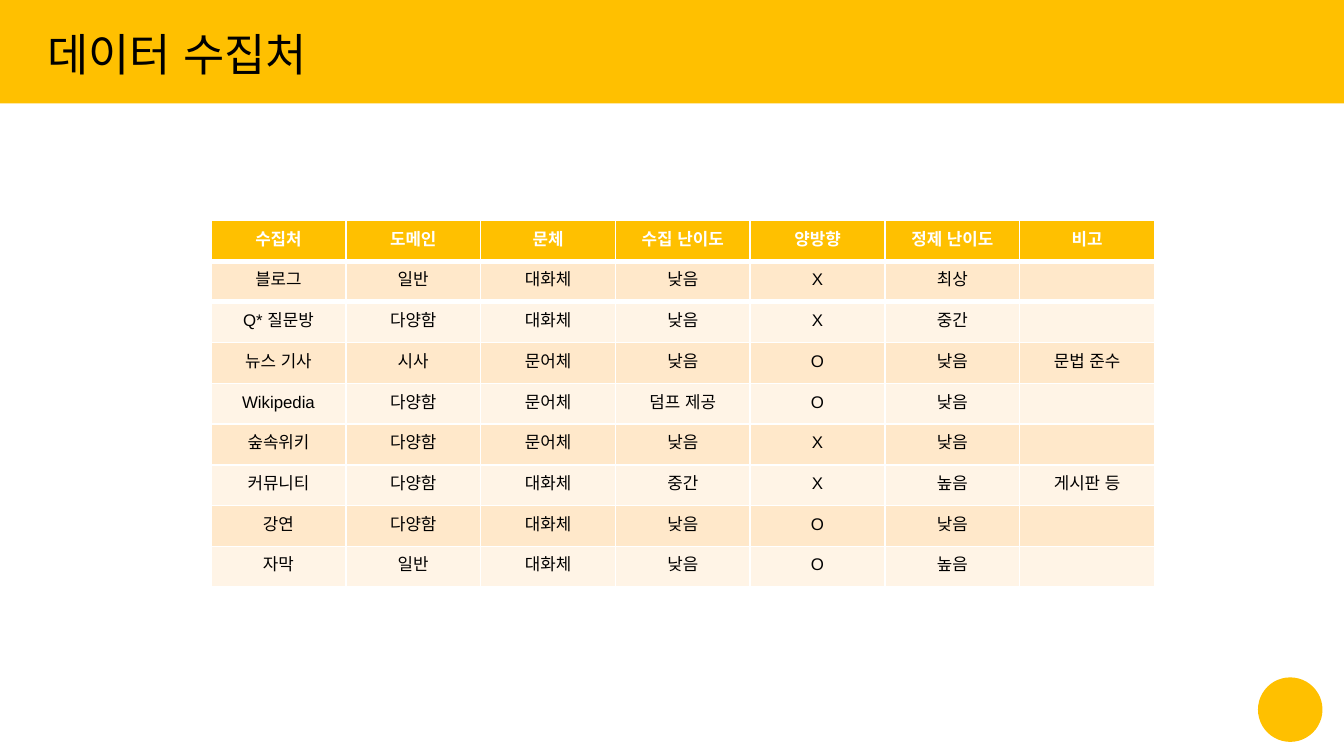
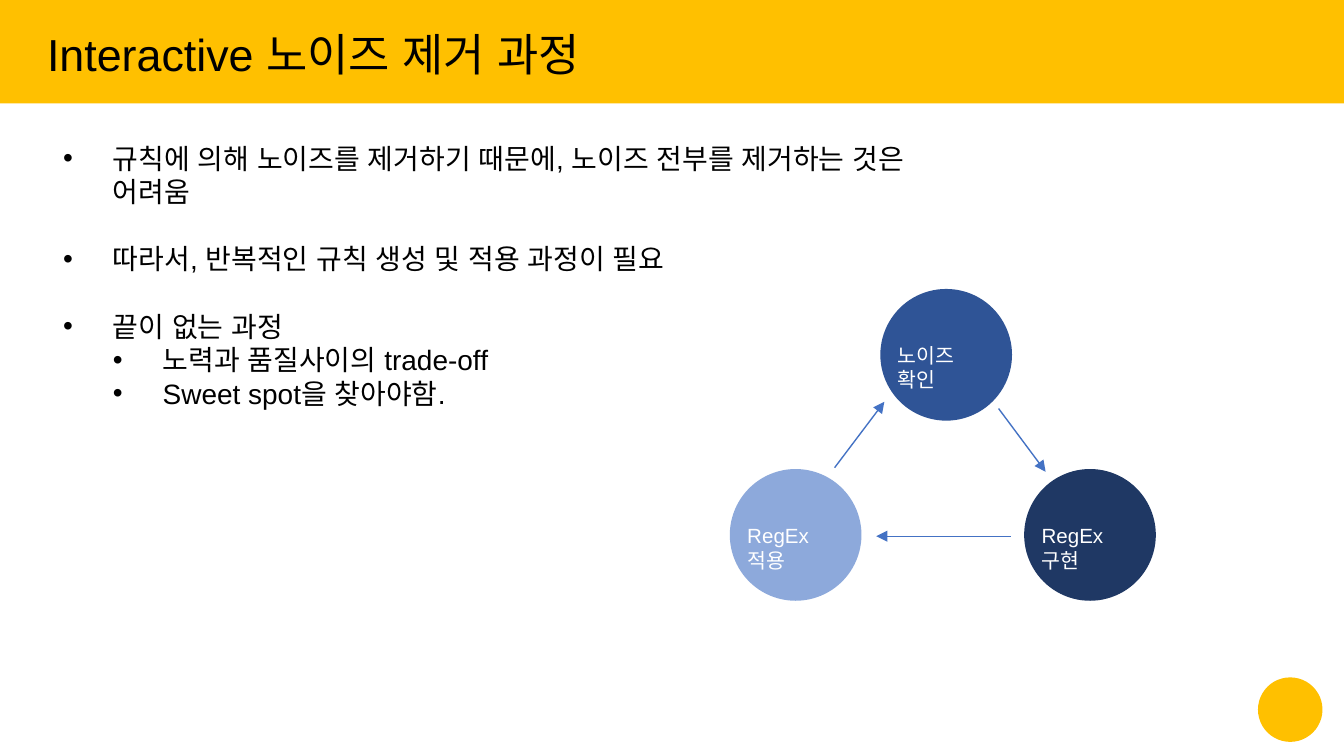
from dataclasses import dataclass

import lxml.etree
import pptx
import pptx.dml.color
import pptx.enum.shapes
import pptx.enum.text
import pptx.oxml.ns
import pptx.util

Inches = pptx.util.Inches
Pt = pptx.util.Pt
Shape = pptx.enum.shapes.MSO_SHAPE
Align = pptx.enum.text.PP_ALIGN
Anchor = pptx.enum.text.MSO_ANCHOR
qn = pptx.oxml.ns.qn


@dataclass(frozen=True)
class Theme:
    font: str = "Arial"
    accent: str = "FFC000"
    ink: str = "000000"
    paper: str = "FFFFFF"
    bands: tuple = ("FFE8CA", "FFF4E6")
    arrow: str = "4472C4"
    check: str = "2F5496"
    build: str = "1F3864"
    apply: str = "8DA9DB"
    title_size: int = 24
    list_size: int = 15
    label_size: int = 11
    table_size: int = 9


def rgb(value):
    return pptx.dml.color.RGBColor.from_string(value)


class SlideBuilder:
    def __init__(self, deck, theme):
        self.deck = deck
        self.theme = theme
        self.page = None
        self.shapes = None

    def start_page(self, layout, title):
        first = self.page is None
        self.page = self.deck.slides.add_slide(self.deck.slide_layouts.get_by_name(layout))
        self.shapes = self.page.shapes
        if first:
            self.decorate_master()
        box = self.page.shapes.title
        self.place(box, 0.28, 0.28, 7.67, 0.29)
        frame = self.prepare_frame(box, Anchor.MIDDLE)
        para = frame.paragraphs[0]
        para.text = title
        para.line_spacing = 0.9
        self.style(para, self.theme.title_size, self.theme.ink, Align.LEFT)

    def decorate_master(self):
        anchor = self.deck.slide_master.placeholders[0].element
        badge = self.shape(Shape.OVAL, 9.36, 5.04, 0.48, 0.48, self.theme.accent)
        band = self.shape(Shape.RECTANGLE, 0, 0, 10, 0.77, self.theme.accent)
        for number, item in enumerate((badge, band), 20):
            item.element.nvSpPr.cNvPr.set("id", str(number))
            anchor.addprevious(item.element)

    def place(self, box, left, top, width, height):
        box.left, box.top = Inches(left), Inches(top)
        box.width, box.height = Inches(width), Inches(height)

    def prepare_frame(self, box, anchor=Anchor.TOP):
        frame = box.text_frame
        frame.word_wrap = True
        frame.auto_size = pptx.enum.text.MSO_AUTO_SIZE.NONE
        frame.vertical_anchor = anchor
        frame.margin_left = frame.margin_right = Inches(0.07)
        frame.margin_top = frame.margin_bottom = Inches(0.04)
        return frame

    def style(self, para, size, color, align=Align.LEFT, bold=False):
        para.alignment = align
        para.font.name = self.theme.font
        para.font.size = Pt(size)
        para.font.bold = bold
        para.font.color.rgb = rgb(color)
        latin = para._p.pPr.find(qn("a:defRPr")).find(qn("a:latin"))
        east_asian = lxml.etree.Element(qn("a:ea"), typeface=self.theme.font)
        latin.addnext(east_asian)

    def shape(self, kind, left, top, width, height, fill):
        shape = self.shapes.add_shape(
            kind, Inches(left), Inches(top), Inches(width), Inches(height))
        shape.shadow.inherit = False
        shape.fill.solid()
        shape.fill.fore_color.rgb = rgb(fill)
        shape.line.fill.background()
        return shape

    def label(self, text, left, top, width, height):
        box = self.shapes.add_textbox(
            Inches(left), Inches(top), Inches(width), Inches(height))
        para = self.prepare_frame(box).paragraphs[0]
        para.text = text
        self.style(para, self.theme.label_size, self.theme.paper)

    def arrow(self, start, end):
        line = self.shapes.add_connector(
            pptx.enum.shapes.MSO_CONNECTOR.STRAIGHT, *map(Inches, start + end))
        line.line.color.rgb = rgb(self.theme.arrow)
        line.line.width = Pt(0.75)
        outline = line.line._get_or_add_ln()
        lxml.etree.SubElement(outline, qn("a:tailEnd"), type="triangle")
        lxml.etree.SubElement(line.element.spPr, qn("a:effectLst"))

    def bullets(self, items, left, top, width, height):
        box = self.page.placeholders[1]
        self.place(box, left, top, width, height)
        frame = self.prepare_frame(box)
        for index, (level, text) in enumerate(items):
            para = frame.add_paragraph() if index else frame.paragraphs[0]
            para.text = text
            para.level = level
            para.space_before = Pt(18 if index and level == 0 else 0)
            properties = para._p.get_or_add_pPr()
            properties.set("marL", str(Inches((0.38, 0.75)[level])))
            properties.set("indent", str(Inches(-0.37)))
            lxml.etree.SubElement(properties, qn("a:buFont"), typeface=self.theme.font)
            lxml.etree.SubElement(properties, qn("a:buChar"), char="•")
            self.style(para, self.theme.list_size, self.theme.ink)

    def borders(self, cell, bottom):
        properties = cell._tc.get_or_add_tcPr()
        widths = {"a:lnL": 1, "a:lnR": 1, "a:lnT": 1, "a:lnB": bottom}
        for index, (side, width) in enumerate(widths.items()):
            line = lxml.etree.Element(qn(side), w=str(Pt(width)))
            fill = lxml.etree.SubElement(line, qn("a:solidFill"))
            lxml.etree.SubElement(fill, qn("a:srgbClr"), val=self.theme.paper)
            properties.insert(index, line)

    def table(self, rows, left, top, width, height):
        grid = self.shapes.add_table(
            len(rows), len(rows[0]),
            Inches(left), Inches(top), Inches(width), Inches(height)).table
        for row, texts in enumerate(rows):
            header = row == 0
            fill = self.theme.accent if header else self.theme.bands[(row - 1) % 2]
            color = self.theme.paper if header else self.theme.ink
            for column, text in enumerate(texts):
                cell = grid.cell(row, column)
                cell.fill.solid()
                cell.fill.fore_color.rgb = rgb(fill)
                if header:
                    self.borders(cell, 3)
                cell.margin_left = cell.margin_right = cell.margin_bottom = 0
                cell.margin_top = Inches(0.07 if text else 0)
                para = cell.text_frame.paragraphs[0]
                if text:
                    para.text = text
                self.style(para, self.theme.table_size, color, Align.CENTER, header)
                if header or row == 1:
                    self.separate(cell, header)

    def separate(self, cell, header):
        if not header:
            properties = cell._tc.get_or_add_tcPr()
            line = lxml.etree.Element(qn("a:lnT"), w=str(Pt(3)))
            fill = lxml.etree.SubElement(line, qn("a:solidFill"))
            lxml.etree.SubElement(fill, qn("a:srgbClr"), val=self.theme.paper)
            properties.insert(0, line)

    def cycle(self, steps, arrows, diameter):
        self.shapes = self.page.shapes.add_group_shape().shapes
        for text, left, top, fill in steps:
            self.shape(Shape.OVAL, left, top, diameter, diameter, fill)
            self.label(text, left + 0.06, top + 0.36, 0.84, 0.45)
        for start, end in arrows:
            self.arrow(start, end)
        self.shapes = self.page.shapes


SOURCES = [
    ("수집처", "도메인", "문체", "수집 난이도", "양방향", "정제 난이도", "비고"),
    ("블로그", "일반", "대화체", "낮음", "X", "최상", ""),
    ("Q* 질문방", "다양함", "대화체", "낮음", "X", "중간", ""),
    ("뉴스 기사", "시사", "문어체", "낮음", "O", "낮음", "문법 준수"),
    ("Wikipedia", "다양함", "문어체", "덤프 제공", "O", "낮음", ""),
    ("숲속위키", "다양함", "문어체", "낮음", "X", "낮음", ""),
    ("커뮤니티", "다양함", "대화체", "중간", "X", "높음", "게시판 등"),
    ("강연", "다양함", "대화체", "낮음", "O", "낮음", ""),
    ("자막", "일반", "대화체", "낮음", "O", "높음", ""),
]

NOTES = [
    (0, "규칙에 의해 노이즈를 제거하기 때문에, 노이즈 전부를 제거하는 것은 어려움"),
    (0, "따라서, 반복적인 규칙 생성 및 적용 과정이 필요"),
    (0, "끝이 없는 과정"),
    (1, "노력과 품질사이의 trade-off"),
    (1, "Sweet spot을 찾아야함."),
]


def main():
    deck = pptx.Presentation()
    deck.slide_width = Inches(10)
    deck.slide_height = deck.slide_width * 9 // 16
    theme = Theme()
    builder = SlideBuilder(deck, theme)

    builder.start_page("Title Only", "데이터 수집처")
    builder.table(SOURCES, 1.57, 1.64, 7.02, 2.73)

    builder.start_page("Title and Content", "Interactive 노이즈 제거 과정")
    builder.bullets(NOTES, 0.39, 1.01, 7.01, 1.84)
    steps = [
        ("RegEx 적용", 5.43, 3.49, theme.apply),
        ("RegEx 구현", 7.62, 3.49, theme.build),
        ("노이즈 확인", 6.55, 2.15, theme.check),
    ]
    arrows = [
        ((6.21, 3.48), (6.58, 2.99)),
        ((7.43, 3.04), (7.78, 3.51)),
        ((7.52, 3.99), (6.52, 3.99)),
    ]
    builder.cycle(steps, arrows, 0.98)

    deck.save("out.pptx")


if __name__ == "__main__":
    main()
